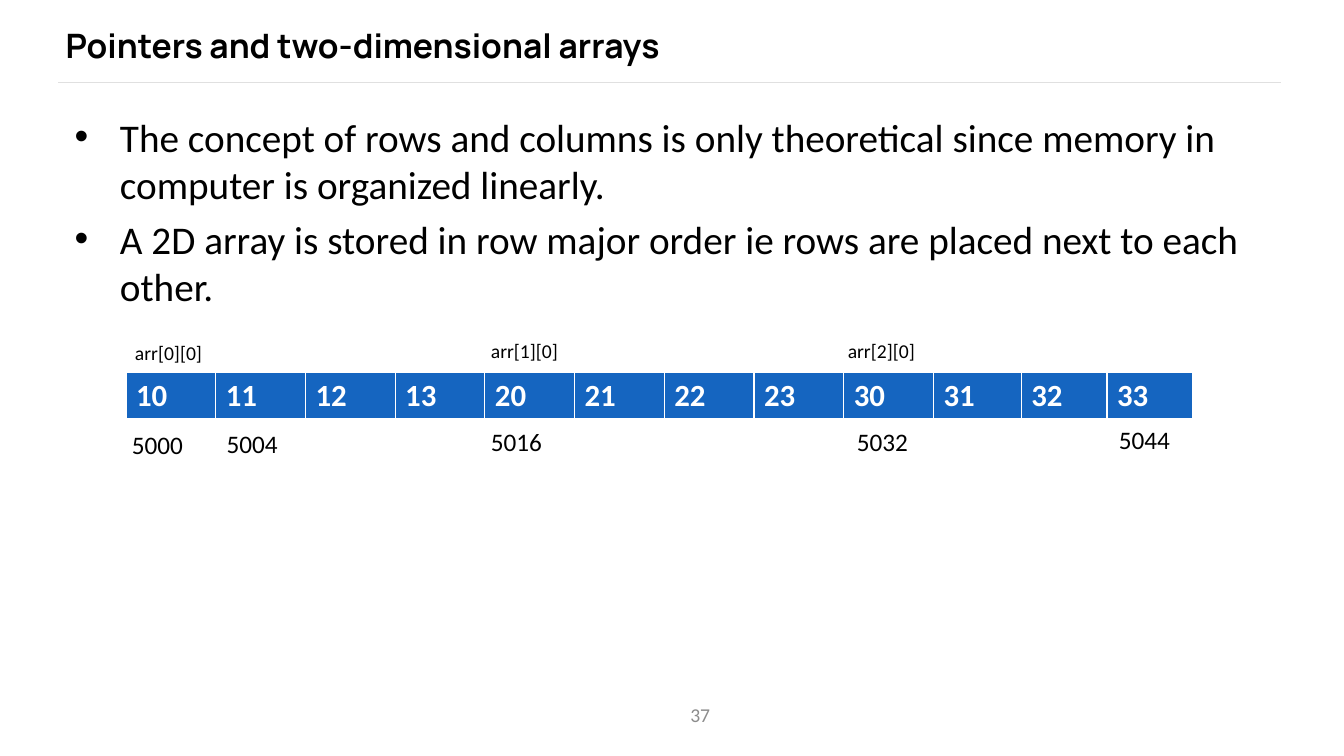
import lxml.etree
import pptx
import pptx.dml.color
import pptx.enum.shapes
import pptx.enum.text
import pptx.oxml
import pptx.oxml.ns
import pptx.util

Inches = pptx.util.Inches
Pt = pptx.util.Pt
COLORS = {"ink": "000000", "paper": "FFFFFF", "cell": "1565C0", "rule": "E0E0E0", "number": "8C8C8C"}
ROW_HEIGHT = 0.47
BORDERS = {"lnL": 1, "lnR": 1, "lnT": 1, "lnB": 3}
ELEMENT_LABELS = [("arr[0][0]", -0.01, -0.36), ("arr[1][0]", 3.52, -0.38), ("arr[2][0]", 7.06, -0.38)]
ADDRESS_LABELS = [("5000", -0.04, 0.52), ("5004", 0.9, 0.51), ("5016", 3.52, 0.49),
                  ("5032", 7.15, 0.49), ("5044", 9.75, 0.47)]


def color(name):
    """Return the named palette color."""
    return pptx.dml.color.RGBColor.from_string(COLORS[name])


def format_text(paragraph, size, shade="ink", family="Calibri", bold=False):
    """Set the font of a whole paragraph."""
    font = paragraph.font
    font.size, font.name, font.bold = Pt(size), family, bold
    font.color.rgb = color(shade)


def place(shape, box):
    """Move a shape into a box given in inches."""
    shape.left, shape.top, shape.width, shape.height = map(Inches, box)


def set_margins(frame, horizontal, vertical):
    """Set the inner margins of a text frame in inches."""
    frame.margin_left = frame.margin_right = Inches(horizontal)
    frame.margin_top = frame.margin_bottom = Inches(vertical)


def add_label(slide, text, box, size, shade="ink"):
    """Add a one-line text box and return it."""
    label = slide.shapes.add_textbox(*map(Inches, box))
    label.text_frame.word_wrap = True
    paragraph = label.text_frame.paragraphs[0]
    paragraph.text = text
    format_text(paragraph, size, shade)
    return label


def add_heading(slide, text, box):
    """Fill the title and draw the rule under it."""
    title = slide.shapes.title
    place(title, box)
    frame = title.text_frame
    frame.text = text
    frame.vertical_anchor = pptx.enum.text.MSO_ANCHOR.MIDDLE
    set_margins(frame, 0, 0)
    paragraph = frame.paragraphs[0]
    paragraph.alignment = pptx.enum.text.PP_ALIGN.LEFT
    format_text(paragraph, 24, family="Manrope", bold=True)
    left, top, _, height = box
    rule_top = Inches(top + height + 0.11)
    rule = slide.shapes.add_connector(pptx.enum.shapes.MSO_CONNECTOR.STRAIGHT,
                                      Inches(left - 0.07), rule_top, Inches(left + 12.06), rule_top)
    rule.line.color.rgb = color("rule")
    rule.line.width = Pt(0.75)
    lxml.etree.SubElement(rule._element.spPr, pptx.oxml.ns.qn("a:effectLst"))


def add_bullets(slide, lines, box):
    """Fill the body placeholder with a bulleted list."""
    body = slide.placeholders[1]
    place(body, box)
    frame = body.text_frame
    frame.text = "\n".join(lines)
    set_margins(frame, 0.12, 0.06)
    for index, paragraph in enumerate(frame.paragraphs):
        properties = paragraph._p.get_or_add_pPr()
        properties.set("marL", str(Inches(0.45)))
        properties.set("indent", str(Inches(-0.45)))
        bullet = lxml.etree.SubElement(properties, pptx.oxml.ns.qn("a:buChar"))
        bullet.set("char", "•")
        paragraph.space_before = Pt(5.6 if index else 0)
        format_text(paragraph, 28)


def add_borders(cell):
    """Draw the white borders of a table cell."""
    properties = cell._tc.get_or_add_tcPr()
    for index, (side, width) in enumerate(BORDERS.items()):
        border = pptx.oxml.parse_xml(
            f'<a:{side} {pptx.oxml.ns.nsdecls("a")} w="{Pt(width)}"><a:solidFill>'
            f'<a:srgbClr val="{COLORS["paper"]}"/></a:solidFill></a:{side}>')
        properties.insert(index, border)


def add_cells(slide, values, left, top, column_width):
    """Add a one-row table of memory cells."""
    table = slide.shapes.add_table(1, len(values), Inches(left), Inches(top),
                                   Inches(column_width * len(values)), Inches(ROW_HEIGHT)).table
    table.first_row = table.horz_banding = False
    for column, value in enumerate(values):
        table.columns[column].width = Inches(column_width)
        cell = table.cell(0, column)
        cell.text = str(value)
        cell.fill.solid()
        cell.fill.fore_color.rgb = color("cell")
        format_text(cell.text_frame.paragraphs[0], 22, "paper", bold=True)
        add_borders(cell)


def add_memory(slide, left, top):
    """Draw the linear memory with its element and address labels."""
    values = [10 * row + column for row in (1, 2, 3) for column in range(4)]
    add_cells(slide, values[:10], left, top, 0.89)
    add_cells(slide, values[10:], left + 8.88, top, 0.85)
    for labels, width, height, size in ((ELEMENT_LABELS, 0.92, 0.34, 14), (ADDRESS_LABELS, 0.83, 0.4, 18)):
        for text, across, down in labels:
            add_label(slide, text, (left + across, top + down, width, height), size)


def add_page_number(slide, text, box):
    """Add the centered page number."""
    label = add_label(slide, text, box, 14, "number")
    set_margins(label.text_frame, 0.12, 0.06)
    label.text_frame.vertical_anchor = pptx.enum.text.MSO_ANCHOR.MIDDLE
    label.text_frame.paragraphs[0].alignment = pptx.enum.text.PP_ALIGN.CENTER


def main():
    """Build and save the presentation."""
    presentation = pptx.Presentation()
    presentation.slide_width, presentation.slide_height = Inches(13.33), Inches(7.5)
    slide = presentation.slides.add_slide(presentation.slide_layouts[1])
    add_heading(slide, "Pointers and two-dimensional arrays", (0.65, 0.19, 10.26, 0.52))
    add_bullets(slide, [
        "The concept of rows and columns is only theoretical since memory in computer is organized linearly.",
        "A 2D array is stored in row major order ie rows are placed next to each other.",
    ], (0.62, 1.06, 12, 5.38))
    add_memory(slide, 1.25, 3.69)
    add_page_number(slide, "37", (5.39, 6.89, 3.11, 0.4))
    presentation.save("out.pptx")


if __name__ == "__main__":
    main()
